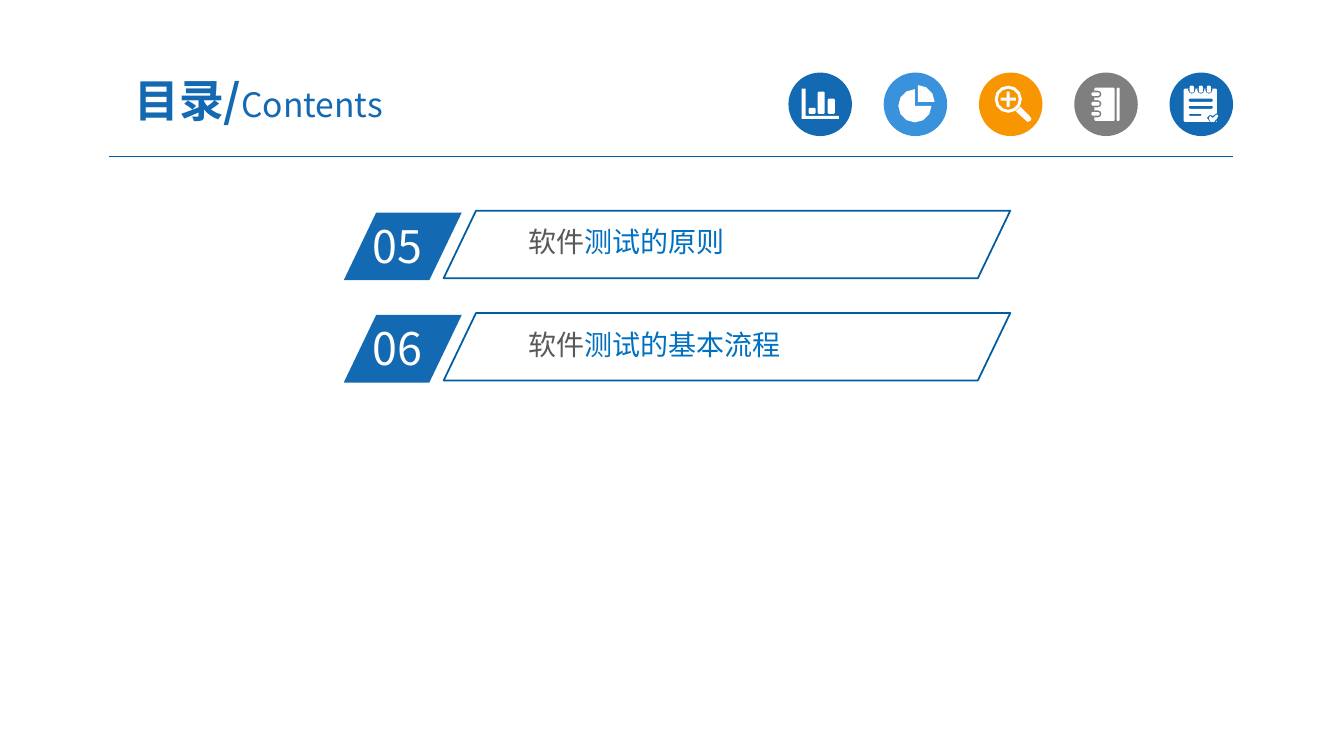
import dataclasses
import math

import pptx
import pptx.dml.color
import pptx.enum.shapes
import pptx.enum.text
import pptx.oxml.ns
import pptx.util

SHAPE = pptx.enum.shapes.MSO_SHAPE
ALIGN = pptx.enum.text.PP_ALIGN
ANCHOR = pptx.enum.text.MSO_ANCHOR
COLS, ROWS = 1333, 750
CELL = pptx.util.Inches(13.33) // COLS


@dataclasses.dataclass(frozen=True)
class Theme:
    """Colours, font and sizes of the slide."""
    font: str = "Noto Sans CJK SC"
    blue: str = "1369B2"
    sky: str = "3992DB"
    orange: str = "F79600"
    gray: str = "7F7F7F"
    white: str = "FFFFFF"
    ink: str = "595959"
    accent: str = "0070C0"
    outline: str = "005DA2"
    rule: str = "005B9E"
    big: int = 32
    medium: int = 24
    small: int = 20
    thin: float = 0.75
    frame: float = 1.25


T = Theme()


def rgb(color):
    """Return a colour object for a hex string."""
    return pptx.dml.color.RGBColor.from_string(color)


def cells(*values):
    """Turn grid cells into lengths."""
    return [round(v * CELL) for v in values]


def add_text(p, text, size=T.small, color=T.ink, bold=False):
    """Append a formatted run to a paragraph."""
    r = p.add_run()
    r.text = text
    r.font.size, r.font.bold = pptx.util.Pt(size), bold
    r.font.name = T.font
    r.font.color.rgb = rgb(color)
    ea = r.font._element.makeelement(pptx.oxml.ns.qn("a:ea"), {"typeface": T.font})
    r.font._element.find(pptx.oxml.ns.qn("a:latin")).addnext(ea)


def set_frame(tf, dx, dy, anchor=ANCHOR.TOP):
    """Set insets and anchor, and return the first paragraph."""
    tf.word_wrap = True
    tf.auto_size = pptx.enum.text.MSO_AUTO_SIZE.NONE
    tf.margin_left, tf.margin_right = cells(dx, dx)
    tf.margin_top, tf.margin_bottom = cells(dy, dy)
    tf.vertical_anchor = anchor
    return tf.paragraphs[0]


def paint(sp, fill=None, line=None):
    """Give a shape its fill and outline without shadow."""
    sp.shadow.inherit = False
    if fill:
        sp.fill.solid()
        sp.fill.fore_color.rgb = rgb(fill)
    else:
        sp.fill.background()
    if line:
        sp.line.color.rgb = rgb(line)
        sp.line.width = pptx.util.Pt(T.frame)
    else:
        sp.line.fill.background()


def arc(cx, cy, r, start=0, end=360, step=30):
    """Return points along an arc, clockwise from the right."""
    angles = [math.radians(a) for a in range(start, end + 1, step)]
    return [(cx + r * math.cos(a), cy + r * math.sin(a)) for a in angles]


def bar(x, y, w, h, c=1):
    """Return the outline of a bar with cut corners."""
    r, b = x + w, y + h
    return [(x + c, y), (r - c, y), (r, y + c), (r, b - c),
            (r - c, b), (x + c, b), (x, b - c), (x, y + c)]


def chart_icon():
    """Return the outlines of a bar chart."""
    axes = [(13, 16), (17, 16), (17, 43), (50, 43), (50, 46), (13, 46)]
    return [axes, bar(20, 35, 7, 6), bar(29, 19, 7, 22), bar(39, 26, 7, 15)]


def pie_icon():
    """Return the outlines of a pie with one slice moved out."""
    return [[(31, 33)] + arc(31, 33, 16.5, 0, 270),
            [(34, 29)] + arc(34, 29, 16.5, 270, 360)]


def lens_icon():
    """Return the outlines of a magnifier with a plus sign."""
    cx, cy, long, short = 29, 26.5, 7.5, 1.5
    plus = [(cx + sx * a, cy + sy * b)
            for sx, sy, order in ((1, -1, 1), (1, 1, -1), (-1, 1, 1), (-1, -1, -1))
            for a, b in ((short, long), (short, short), (long, short))[::order]]
    handle = [(36.5, 38.5), (41, 34), (50, 43), (52, 46), (51, 48), (48, 49)]
    return [arc(cx, cy, 13.5), arc(cx, cy, 10.5), plus, handle]


def notebook_icon():
    """Return the outlines of a ring-bound notebook."""
    parts = [bar(20, 15, 20, 33), bar(42, 15, 3, 33)]
    for y in (21.5, 31, 41):
        notch = [(20, y - 3.5)] + arc(23.5, y, 3.5, -90, 90, 45) + [(20, y + 3.5)]
        parts += [notch, bar(17, y - 1.75, 8, 3.5)]
    return parts


def notepad_icon():
    """Return the outlines of a notepad with a check mark."""
    parts = [bar(14, 16, 33, 33), bar(19, 26, 24, 3), bar(19, 33, 24, 3),
             bar(19, 41, 13, 2)]
    for x in (22, 31, 39):
        notch = [(x + 3.5, 16)] + arc(x, 17.5, 3.5, 0, 180, 45) + [(x - 3.5, 16)]
        parts += [notch, bar(x - 2, 13, 4, 7)]
    gap = [(47, 40), (43, 43), (40, 42), (37, 45), (40, 49), (47, 49)]
    check = [(48, 44), (44, 49), (41, 49), (39, 46), (40, 43), (43, 45), (46, 42),
             (48, 42)]
    return parts + [gap, check]


def add_icon(s, x, y, size, color, outlines):
    """Draw a disc with a white pictogram."""
    paint(s.shapes.add_shape(SHAPE.OVAL, *cells(x, y, size, size)), color)
    fine = [[(px * 10, py * 10) for px, py in points] for points in outlines]
    fb = s.shapes.build_freeform(*fine[0][0], scale=CELL / 10)
    fb.add_line_segments(fine[0][1:])
    for points in fine[1:]:
        fb.move_to(*points[0])
        fb.add_line_segments(points[1:])
    paint(fb.convert_to_shape(*cells(x, y)), T.white)


def add_header(s, x, y, w, h):
    """Place title, icon row and rule in the header box."""
    title = s.shapes.title
    title.left, title.top, title.width, title.height = cells(x - 16, y - 9, 329, 72)
    p = set_frame(title.text_frame, 13, 7, ANCHOR.MIDDLE)
    p.alignment = ALIGN.CENTER
    add_text(p, "目录/", size=T.big, color=T.blue, bold=True)
    add_text(p, "Contents", size=T.medium, color=T.blue)
    icons = ((T.blue, chart_icon), (T.sky, pie_icon), (T.orange, lens_icon),
             (T.gray, notebook_icon), (T.blue, notepad_icon))
    size, pitch = 63, 94.5
    first = x + w - size - pitch * (len(icons) - 1)
    for i, (color, outlines) in enumerate(icons):
        add_icon(s, first + i * pitch, y, size, color, outlines())
    rule = s.shapes.add_connector(pptx.enum.shapes.MSO_CONNECTOR.STRAIGHT,
                                  *cells(x, y + h, x + w, y + h))
    rule.line.color.rgb = rgb(T.rule)
    rule.line.width = pptx.util.Pt(T.thin)
    sp_pr = rule._element.spPr
    sp_pr.append(sp_pr.makeelement(pptx.oxml.ns.qn("a:effectLst"), {}))


def add_entry(s, x, y, w, h, number, topic):
    """Place one numbered contents entry in its box."""
    for left, top, width, fill, line in ((x, y + 2, 117, T.blue, None),
                                         (x + 99, y, w - 99, None, T.outline)):
        sp = s.shapes.add_shape(SHAPE.PARALLELOGRAM, *cells(left, top, width, h))
        sp.adjustments[0] = 0.48
        paint(sp, fill, line)
    tb = s.shapes.add_textbox(*cells(x + 19, y + 3, 112, 64))
    add_text(set_frame(tb.text_frame, 10, 5), number, size=T.big, color=T.white)
    tb = s.shapes.add_textbox(*cells(x + 176, y + 10, 412, 41))
    p = set_frame(tb.text_frame, 7, 4)
    add_text(p, "软件")
    add_text(p, topic, color=T.accent)


def add_contents(s, x, y, w, h, entries):
    """Stack the contents entries, the last one ending with the box."""
    height = 67
    pitch = (h - height) / (len(entries) - 1)
    for i, (number, topic) in enumerate(entries):
        add_entry(s, x, y + i * pitch, w, height, number, topic)


def main():
    """Build and save the contents slide."""
    prs = pptx.Presentation()
    prs.slide_width, prs.slide_height = cells(COLS, ROWS)
    s = prs.slides.add_slide(prs.slide_layouts[5])
    add_header(s, 108, 72, 1115, 83)
    add_contents(s, 341, 209, 661, 168.5, (("05", "测试的原则"), ("06", "测试的基本流程")))
    prs.save("out.pptx")


if __name__ == "__main__":
    main()
